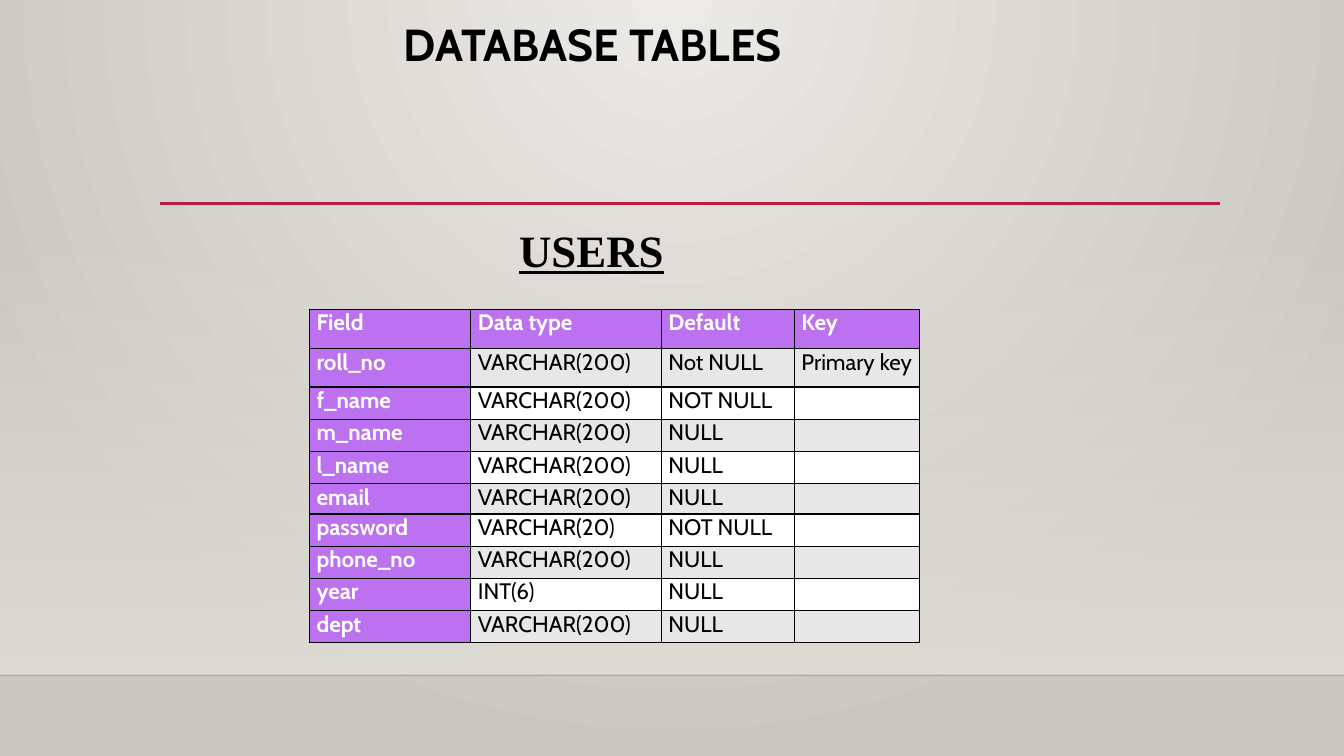
from lxml import etree
from pptx import Presentation
from pptx import util as u
from pptx.dml.color import RGBColor
from pptx.enum import shapes, text
from pptx.oxml import ns, parse_xml

COLORS = {
    "black": "000000", "white": "FFFFFF", "purple": "BC72F0", "band": "E7E7E7",
    "crimson": "B71E42", "floor": "000001", "wall": "DFDBD5",
    "glow": "ECEAE7", "edge": "CAC7C1",
}


def add_text(paragraph, words, size, font, color, bold):
    run = paragraph.add_run()
    run.text = words
    run.font.size = u.Pt(size)
    run.font.name = font
    run.font.bold = bold
    run.font.color.rgb = RGBColor.from_string(COLORS[color])
    return run


def set_gradient(parent, start, end, start_alpha, direction):
    solid = parent.find(ns.qn("a:solidFill"))
    parent.replace(solid, parse_xml(
        f'<a:gradFill {ns.nsdecls("a")} rotWithShape="1"><a:gsLst>'
        f'<a:gs pos="0"><a:srgbClr val="{COLORS[start]}"><a:alpha val="{start_alpha}"/></a:srgbClr></a:gs>'
        f'<a:gs pos="100000"><a:srgbClr val="{COLORS[end]}"/></a:gs>'
        f'</a:gsLst>{direction}</a:gradFill>'))


prs = Presentation()
prs.slide_width = u.Inches(13.33)
prs.slide_height = u.Inches(7.5)
slide = prs.slides.add_slide(prs.slide_layouts[6])

slide.background.fill.solid()
set_gradient(slide.element.find(".//" + ns.qn("p:bgPr")), "glow", "edge", 100000,
             '<a:path path="circle"><a:fillToRect l="43000" t="0" r="43000" b="100000"/></a:path>')

wall = slide.shapes.add_shape(shapes.MSO_SHAPE.RECTANGLE, u.Inches(0), u.Inches(2.21),
                              u.Inches(13.33), u.Inches(4.49))
wall.shadow.inherit = False
wall.line.fill.background()
wall.fill.solid()
set_gradient(wall.element.spPr, "wall", "wall", 0, '<a:lin ang="5400000" scaled="0"/>')

for left, right, y, color, width, alpha in [
    (0, 13.33, 6.7, "floor", 1, 20000),
    (1.59, 12.1, 2.02, "crimson", 2.5, 100000),
]:
    rule = slide.shapes.add_connector(shapes.MSO_CONNECTOR.STRAIGHT, u.Inches(left), u.Inches(y),
                                      u.Inches(right), u.Inches(y))
    rule.line.width = u.Pt(width)
    rule.line.color.rgb = RGBColor.from_string(COLORS[color])
    rule_color = rule.element.spPr.find(".//" + ns.qn("a:srgbClr"))
    etree.SubElement(rule_color, ns.qn("a:alpha")).set("val", str(alpha))
    etree.SubElement(rule.element.spPr, ns.qn("a:effectLst"))

title = slide.shapes.add_textbox(u.Inches(0.38), u.Inches(0.18), u.Inches(11), u.Inches(1.59)).text_frame
title.word_wrap = True
title.vertical_anchor = text.MSO_ANCHOR.TOP
title.paragraphs[0].alignment = text.PP_ALIGN.CENTER
title.paragraphs[0].line_spacing = 0.9
add_text(title.paragraphs[0], "DATABASE TABLES", 32, "Cabin", "black", True)

fields = [
    ("Field", "Data type", "Default", "Key"),
    ("roll_no", "VARCHAR(200)", "Not NULL", "Primary key"),
    ("f_name", "VARCHAR(200)", "NOT NULL", ""),
    ("m_name", "VARCHAR(200)", "NULL", ""),
    ("l_name", "VARCHAR(200)", "NULL", ""),
    ("email", "VARCHAR(200)", "NULL", ""),
    ("password", "VARCHAR(20)", "NOT NULL", ""),
    ("phone_no", "VARCHAR(200)", "NULL", ""),
    ("year", "INT(6)", "NULL", ""),
    ("dept", "VARCHAR(200)", "NULL", ""),
]
column_widths = [1.6, 1.89, 1.32, 1.24]
row_heights = [0.39, 0.38, 0.32, 0.32, 0.32, 0.3, 0.32, 0.32, 0.32, 0.32]
users = slide.shapes.add_table(len(fields), len(column_widths), u.Inches(3.07), u.Inches(3.07),
                               u.Inches(sum(column_widths)), u.Inches(sum(row_heights))).table
for column, width in zip(users.columns, column_widths):
    column.width = u.Inches(width)
for r, (field, height) in enumerate(zip(fields, row_heights)):
    users.rows[r].height = u.Inches(height)
    for c, words in enumerate(field):
        cell = users.cell(r, c)
        heading = r == 0 or c == 0
        cell.margin_left = cell.margin_right = u.Inches(0.07)
        cell.margin_top = cell.margin_bottom = 0
        paragraph = cell.text_frame.paragraphs[0]
        if words:
            add_text(paragraph, words, 16, "Cabin", "white" if heading else "black", heading)
        else:
            etree.SubElement(paragraph._p, ns.qn("a:endParaRPr")).set("sz", "1600")
        cell_format = cell._tc.get_or_add_tcPr()
        for side in ("lnL", "lnR", "lnT", "lnB"):
            cell_format.append(parse_xml(
                f'<a:{side} {ns.nsdecls("a")} w="12700"><a:solidFill>'
                f'<a:srgbClr val="{COLORS["black"]}"/></a:solidFill></a:{side}>'))
        cell.fill.solid()
        shade = "purple" if heading else "band" if r % 2 else "white"
        cell.fill.fore_color.rgb = RGBColor.from_string(COLORS[shade])

caption = slide.shapes.add_textbox(u.Inches(5.05), u.Inches(2.16), u.Inches(1.65), u.Inches(0.64)).text_frame
caption.word_wrap = False
caption.auto_size = text.MSO_AUTO_SIZE.SHAPE_TO_FIT_TEXT
add_text(caption.paragraphs[0], "USERS", 32, "Times New Roman", "black", True).font.underline = True

prs.save("out.pptx")
